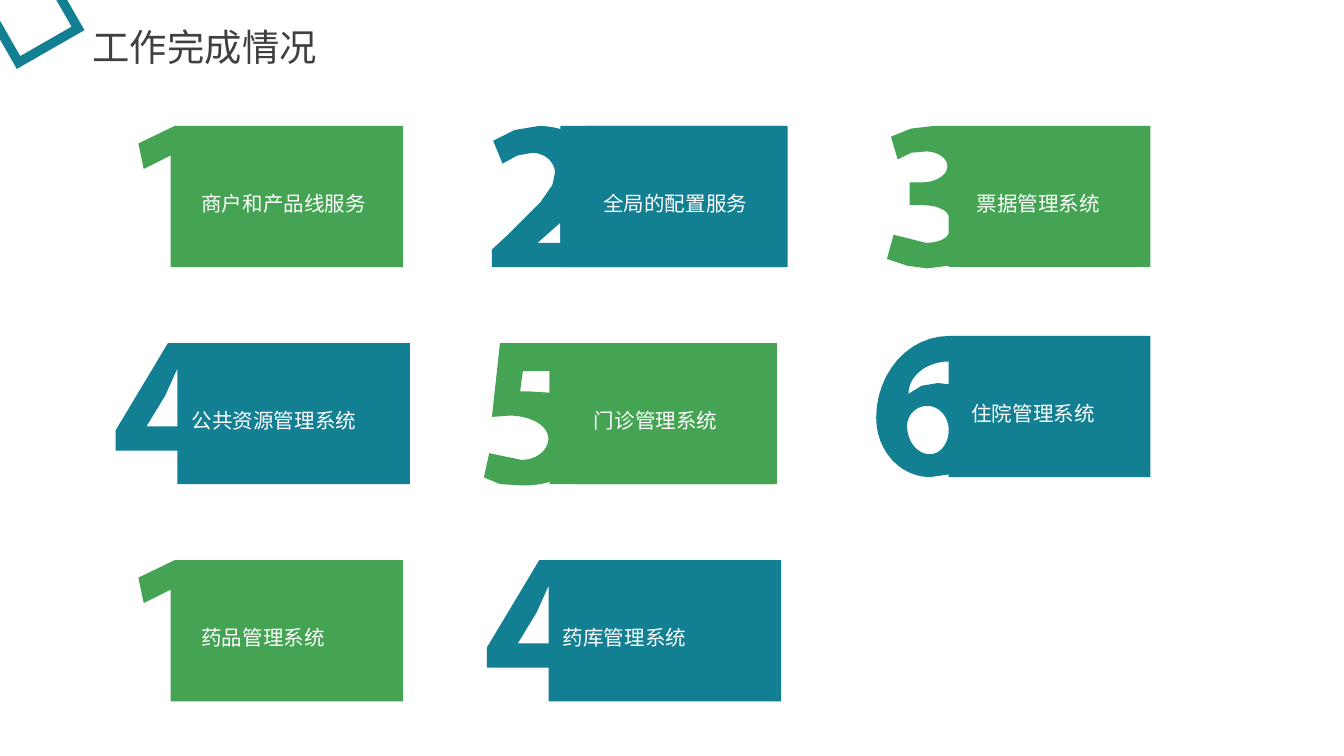
from math import cos, pi, sin

from pptx import Presentation
from pptx.dml.color import RGBColor
from pptx.enum.shapes import MSO_SHAPE as Shape
from pptx.enum.text import MSO_AUTO_SIZE as AutoSize
from pptx.util import Pt

COLORS = {"green": "45A454", "teal": "127F93", "title": "404040", "label": "FFFFFF"}
FONT = "Arial"
TITLE = "工作完成情况"

# Rows of cards: digit, left edge of the slab, label
ROWS = [
    [(1, 108, "商户和产品线服务"), (2, 313.9, "全局的配置服务"), (3, 508.3, "票据管理系统")],
    [(4, 111.6, "公共资源管理系统"), (5, 308.2, "门诊管理系统"), (6, 508.3, "住院管理系统")],
    [(1, 108, "药品管理系统"), (4, 310.5, "药库管理系统")],
]
FIRST_TOP, ROW_PITCH = 67.5, 116.3
RAISED = {6: 3.8}  # card 6 sits above its row
LABEL_SHIFT = {1: -7.2, 2: 2.2, 3: 7.9, 4: -16, 5: 2.9, 6: 5}
LABEL_DROP, LABEL_HEIGHT = 28.8, 34.6
PANEL_DIGITS, PANEL_SHIFT, PANEL_WIDTH = (2, 5), -13.7, 120.2

# Outlines on a grid of 0.72 pt. A pair is a corner; a third item marks a
# quarter ellipse that sets out horizontally ("h") or vertically ("v").
GRID = 0.72
CURVE_STEPS = 12
SLAB_WIDTH, SLAB_HEIGHT = 150, 105
# Digit: left edge of its slab, contour from slab top to bottom, holes
DIGITS = {
    1: (47, [(27, 0), (0, 13), (4, 32), (24, 22), (24, 105)], []),
    2: (70, [(70, 21), (35, 0, "v"), (17, 3), (1, 11), (8, 28), (19, 22), (30, 20),
             (47, 35, "h"), (45, 44), (36, 57), (13, 80), (0, 92), (0, 105)],
        [[(34, 87), (51, 72), (51, 87)]]),
    3: (46, [(35, 0), (18, 2), (3, 8), (8, 25), (18, 20), (29, 19), (45, 30, "h"),
             (26, 42, "v"), (17, 42), (17, 59), (27, 59), (46, 68, "h"), (46, 79),
             (29, 87, "v"), (5, 81), (0, 99), (15, 104), (30, 106), (46, 104)], []),
    4: (69, [(39, 0), (0, 65), (0, 80), (46, 80), (46, 105)],
        [[(46, 62), (23, 62), (37, 39), (46, 19)]]),
    5: (68, [(12, 0), (6, 55), (19, 54), (48, 71, "h"), (28, 87, "v"), (4, 82),
             (0, 100), (12, 105), (29, 106), (68, 88, "h")],
        [[(27, 36), (29, 21), (49, 21), (49, 37), (33, 36)]]),
    6: (54, [(0, 61, "h"), (40, 105, "v"), (54, 103)],
        [[(40, 88), (23, 67, "h"), (38, 52, "v"), (54, 70, "h"), (40, 88, "v")],
         [(46, 35), (34, 37), (24, 43), (54, 19, "v"), (54, 36)]]),
}


def flatten(contour):
    """Turn corners and quarter ellipses into a list of EMU points."""
    points = [contour[0]]
    for x, y, *start in contour[1:]:
        if not start:
            points.append((x, y))
            continue
        x0, y0 = points[-1]
        for step in range(1, CURVE_STEPS + 1):
            angle = pi / 2 * step / CURVE_STEPS
            early, late = sin(angle), 1 - cos(angle)
            across, down = (early, late) if start == ["h"] else (late, early)
            points.append((x0 + (x - x0) * across, y0 + (y - y0) * down))
    return [(Pt(x * GRID), Pt(y * GRID)) for x, y in points]


def box_contour(left, top, right, bottom):
    return [(left, top), (right, top), (right, bottom), (left, bottom)]


def paint(shape, color):
    shape.shadow.inherit = False
    shape.fill.solid()
    shape.fill.fore_color.rgb = RGBColor.from_string(COLORS[color])
    shape.line.fill.background()


def add_outline(shapes, contours, left, top, color):
    outlines = [flatten(contour) for contour in contours]
    builder = shapes.build_freeform(*outlines[0][0])
    for index, points in enumerate(outlines):
        if index:
            builder.move_to(*points[0])
        builder.add_line_segments(points[1:], close=True)
    outline = builder.convert_to_shape(Pt(left), Pt(top))
    paint(outline, color)
    return outline


def add_text(shapes, text, left, top, width, height, size, color):
    box = shapes.add_textbox(Pt(left), Pt(top), Pt(width), Pt(height))
    frame = box.text_frame
    frame.word_wrap = True
    paragraph = frame.paragraphs[0]
    paragraph.text = text
    paragraph.font.size = Pt(size)
    paragraph.font.name = FONT
    paragraph.font.color.rgb = RGBColor.from_string(COLORS[color])
    return frame


def add_card(shapes, digit, slab_left, top, label):
    color = "green" if digit % 2 else "teal"
    split, edge, holes = DIGITS[digit]
    right = split + SLAB_WIDTH
    contour = [(split, 0), *edge, (split, SLAB_HEIGHT), (right, SLAB_HEIGHT), (right, 0)]
    add_outline(shapes, [contour, *holes], slab_left - split * GRID, top, color)
    if digit in PANEL_DIGITS:
        panel = shapes.add_shape(Shape.RECTANGLE, Pt(slab_left + PANEL_SHIFT), Pt(top),
                                 Pt(PANEL_WIDTH), Pt(SLAB_HEIGHT * GRID))
        paint(panel, color)
    label_width = 116 if digit in (1, 4) else 102
    caption = add_text(shapes, label, slab_left + LABEL_SHIFT[digit], top + LABEL_DROP,
                       label_width, LABEL_HEIGHT, 11, "label")
    caption.paragraphs[0].line_spacing = 1.2


deck = Presentation()
deck.slide_width, deck.slide_height = Pt(720), Pt(405)
slide = deck.slides.add_slide(deck.slide_layouts[6])

# Heading and corner ornament
heading = add_text(slide.shapes, TITLE, 42.5, 9.4, 168.5, 31.7, 20, "title")
heading.auto_size = AutoSize.SHAPE_TO_FIT_TEXT
corner_frame = [box_contour(0, 0, 58, 63), box_contour(7, 7, 51, 56)]
corner = add_outline(slide.shapes, corner_frame, -5, -15.8, "teal")
corner.rotation = 330.2

# Numbered cards
for row, cards in enumerate(ROWS):
    for digit, slab_left, label in cards:
        top = FIRST_TOP + row * ROW_PITCH - RAISED.get(digit, 0)
        card = slide.shapes.add_group_shape()
        add_card(card.shapes, digit, slab_left, top, label)

deck.save("out.pptx")
